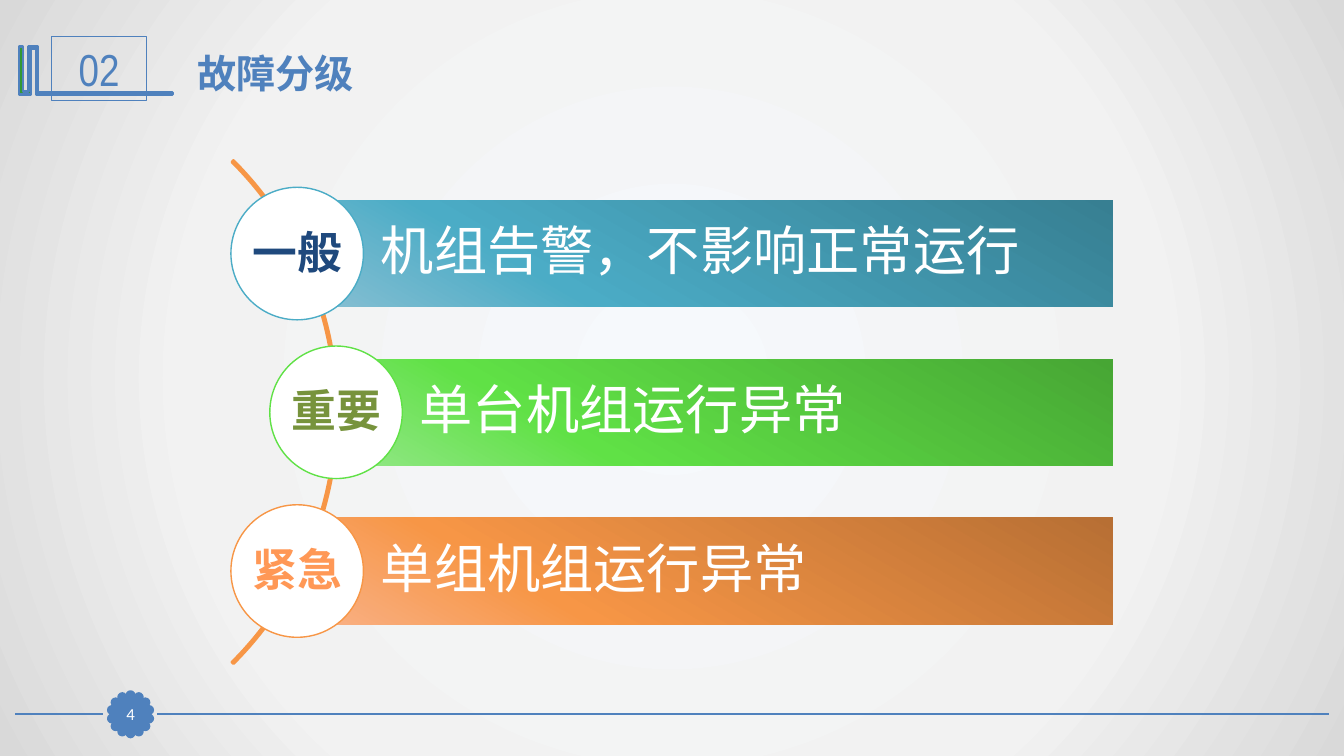
from math import cos, radians, sin

from lxml import etree
from pptx import Presentation
from pptx import util as u
from pptx.dml.color import RGBColor
from pptx.enum import shapes, text
from pptx.oxml import parse_xml
from pptx.oxml.ns import nsdecls, qn
from pptx.util import Cm

BLUE = RGBColor(0x4F, 0x81, 0xBD)
GREEN = RGBColor(0x33, 0x99, 0x33)
WHITE = RGBColor(0xFF, 0xFF, 0xFF)
NAVY = RGBColor(0x1F, 0x49, 0x7D)
OLIVE = RGBColor(0x77, 0x93, 0x3C)
APRICOT = RGBColor(0xFF, 0x98, 0x56)
TEAL_RAMP = (RGBColor(0x8B, 0xC0, 0xD3), RGBColor(0x4B, 0xAC, 0xC6), RGBColor(0x37, 0x7F, 0x92))
LIME_RAMP = (RGBColor(0x94, 0xE7, 0x89), RGBColor(0x60, 0xE1, 0x46), RGBColor(0x47, 0xA6, 0x34))
ORANGE_RAMP = (RGBColor(0xF9, 0xB2, 0x89), RGBColor(0xF7, 0x96, 0x46), RGBColor(0xB7, 0x6F, 0x34))
PAPER_RAMP = (RGBColor(0xF6, 0xF9, 0xFC), RGBColor(0xF2, 0xF2, 0xF2), RGBColor(0xD9, 0xD9, 0xD9))

RISING = '<a:lin ang="18000000" scaled="0"/>'
RADIAL = '<a:path path="circle"><a:fillToRect l="50000" t="50000" r="50000" b="50000"/></a:path>'

LEVELS = [
    ("一般", "机组告警，不影响正常运行", 0, NAVY, TEAL_RAMP),
    ("重要", "单台机组运行异常", 0.98, OLIVE, LIME_RAMP),
    ("紧急", "单组机组运行异常", 0, APRICOT, ORANGE_RAMP),
]


def set_gradient(fill, host, ramp, middle, direction):
    """Give the fill inside the host element three stops and a direction."""
    fill.gradient()
    stops = "".join(
        f'<a:gs pos="{pos * 1000}"><a:srgbClr val="{color}"/></a:gs>'
        for pos, color in zip((0, middle, 100), ramp)
    )
    old = host.xpath(".//a:gradFill")[0]
    new = parse_xml(
        f'<a:gradFill {nsdecls("a")} rotWithShape="1"><a:gsLst>{stops}</a:gsLst>{direction}</a:gradFill>'
    )
    old.getparent().replace(old, new)


def style(shape, fill=None, line=None, width=1):
    """Set plain fill and outline of a shape, leaving out either when None."""
    shape.shadow.inherit = False
    if fill is None:
        shape.fill.background()
    else:
        shape.fill.solid()
        shape.fill.fore_color.rgb = fill
    if line is None:
        shape.line.fill.background()
    else:
        shape.line.color.rgb = line
        shape.line.width = u.Pt(width)


def write(shape, words, size, color, bold=False, font="Calibri", align=text.PP_ALIGN.LEFT):
    """Put one formatted paragraph in a shape and return it."""
    shape.text_frame.text = words
    shape.text_frame.word_wrap = True
    paragraph = shape.text_frame.paragraphs[0]
    paragraph.alignment = align
    face = paragraph.runs[0].font
    face.name, face.size, face.bold = font, u.Pt(size), bold
    face.color.rgb = color
    return paragraph


def set_insets(frame, left, others):
    """Set the left inset and the three other insets in centimetres."""
    frame.margin_left = Cm(left)
    frame.margin_top = frame.margin_right = frame.margin_bottom = Cm(others)


def add_footer(slide, left, middle, width):
    """Draw the footer rule, broken by a scalloped page badge."""
    hub = left + 2.91
    for start, end in ((left, hub - 0.7), (hub + 0.67, left + width)):
        rule = slide.shapes.add_connector(
            shapes.MSO_CONNECTOR.STRAIGHT, Cm(start), Cm(middle), Cm(end), Cm(middle)
        )
        rule.line.color.rgb = BLUE
        rule.line.width = u.Pt(1.25)
        etree.SubElement(rule.element.spPr, qn("a:effectLst"))
    petals, ring, size = 14, 0.48, 0.18
    for petal in range(petals):
        angle = radians(360 * petal / petals)
        x = hub + ring * sin(angle) - size / 2
        y = middle - ring * cos(angle) - size / 2
        dot = slide.shapes.add_shape(shapes.MSO_SHAPE.OVAL, Cm(x), Cm(y), Cm(size), Cm(size))
        style(dot, BLUE, BLUE, 2)
    page = slide.shapes.add_shape(
        shapes.MSO_SHAPE.RECTANGLE, Cm(hub - 0.4), Cm(middle - 0.4), Cm(0.8), Cm(0.8)
    )
    style(page, BLUE, BLUE, 0.75)
    set_insets(page.text_frame, 0, 0)
    page.text_frame.vertical_anchor = text.MSO_ANCHOR.MIDDLE
    write(page, "4", 12, WHITE, align=text.PP_ALIGN.CENTER)


def add_header(slide, left, top, width):
    """Draw the bracket and section number and place the title."""
    outline = [
        (0.48, 0), (0.48, 1.17), (3.86, 1.17), (3.86, 1.22), (0.43, 1.22), (0.43, 0.05),
        (0.3, 0.05), (0.3, 1.22), (0, 1.22), (0, 0), (0.1, 0), (0.1, 1.14), (0.23, 1.14), (0.23, 0),
    ]
    points = [(Cm(left + x), Cm(top + 0.26 + y)) for x, y in outline]
    builder = slide.shapes.build_freeform(*points[0])
    builder.add_line_segments(points[1:], close=True)
    style(builder.convert_to_shape(), GREEN, BLUE, 2)

    section = slide.shapes.add_shape(
        shapes.MSO_SHAPE.RECTANGLE, Cm(left + 0.83), Cm(top), Cm(2.38), Cm(1.63)
    )
    style(section, None, BLUE, 0.75)
    section.text_frame.vertical_anchor = text.MSO_ANCHOR.MIDDLE
    write(section, "02", 32, BLUE, font="Arial Narrow", align=text.PP_ALIGN.CENTER)

    title = slide.shapes.title
    title.left, title.top = Cm(left + 4.24), Cm(top + 0.21)
    title.width, title.height = Cm(width - 4.24), Cm(1.45)
    title.text_frame.vertical_anchor = text.MSO_ANCHOR.TOP
    title.text_frame.auto_size = text.MSO_AUTO_SIZE.NONE
    write(title, "故障分级", 28, BLUE, bold=True)


def add_level(slide, left, top, right, level):
    """Draw one fault level: a gradient bar with a labelled disc on its left edge."""
    name, meaning, _, color, ramp = level
    height, disc_size = 2.68, 3.34
    bar = slide.shapes.add_shape(
        shapes.MSO_SHAPE.RECTANGLE, Cm(left), Cm(top), Cm(right - left), Cm(height)
    )
    style(bar)
    set_gradient(bar.fill, bar.element, ramp, 30, RISING)
    set_insets(bar.text_frame, 2.11, 0.28)
    bar.text_frame.vertical_anchor = text.MSO_ANCHOR.MIDDLE
    write(bar, meaning, 38, WHITE).line_spacing = 0.9

    disc = slide.shapes.add_shape(
        shapes.MSO_SHAPE.OVAL, Cm(left - disc_size / 2), Cm(top + (height - disc_size) / 2),
        Cm(disc_size), Cm(disc_size),
    )
    style(disc, WHITE, ramp[1], 1)
    label = slide.shapes.add_textbox(Cm(left - 1.38), Cm(top + 0.48), Cm(3.81), Cm(1.63))
    write(label, name, 32, color, bold=True)


def add_levels(slide, left, top, right, pitch):
    """Draw the arc and the evenly spaced fault levels along it."""
    size = 17.93
    arc = slide.shapes.add_shape(
        shapes.MSO_SHAPE.BLOCK_ARC, Cm(left - 16.91), Cm(top - 3.63), Cm(size), Cm(size)
    )
    style(arc, None, ORANGE_RAMP[1], 2)
    for index, value in enumerate((189, 27, 0.003)):
        arc.adjustments[index] = value
    for row, level in enumerate(LEVELS):
        add_level(slide, left + level[2], top + row * pitch, right, level)


def main():
    """Build the fault level slide and save it."""
    deck = Presentation()
    deck.slide_width, deck.slide_height = Cm(33.87), Cm(19.05)
    slide = deck.slides.add_slide(deck.slide_layouts[5])
    set_gradient(slide.background.fill, slide.element, PAPER_RAMP, 63, RADIAL)
    add_footer(slide, 0.38, 18, 33.1)
    add_header(slide, 0.48, 0.91, 28.85)
    add_levels(slide, 7.49, 5.05, 28.04, 4)
    deck.save("out.pptx")


if __name__ == "__main__":
    main()
